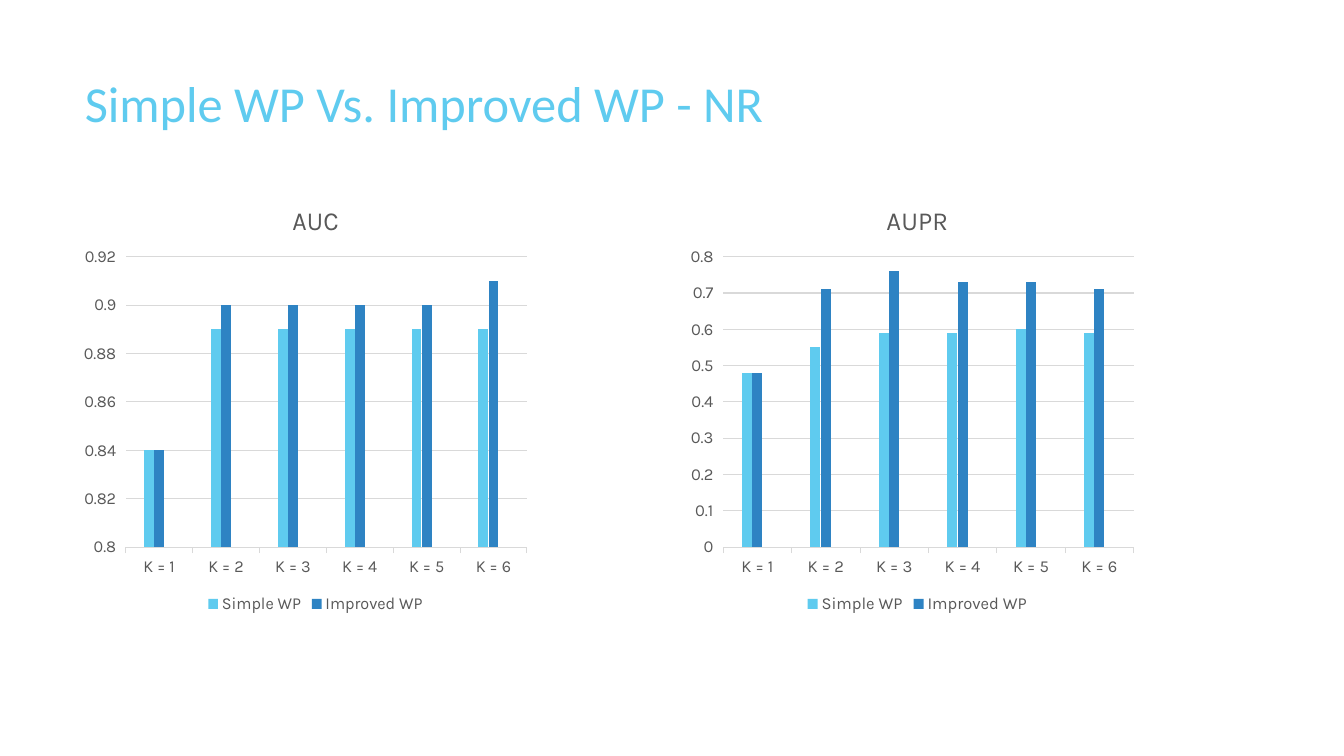
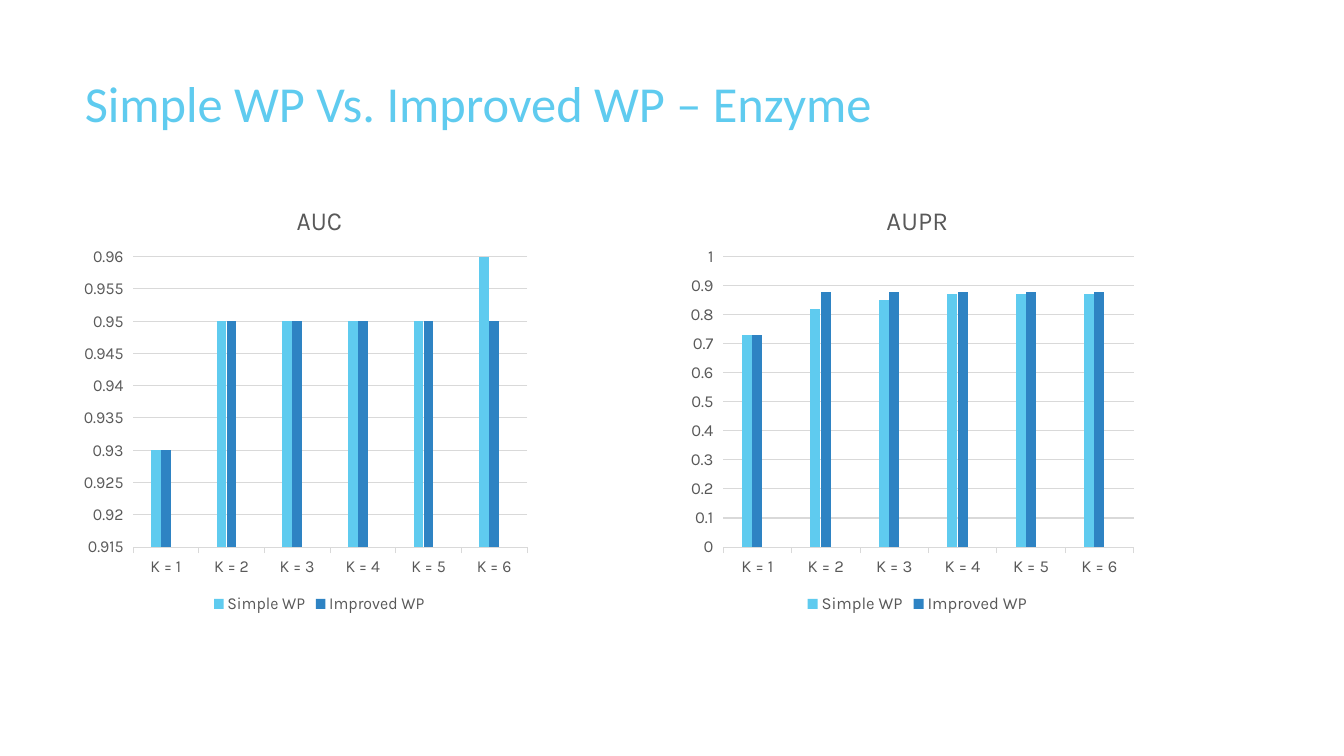
from pptx import Presentation
from pptx.chart.data import CategoryChartData
from pptx.dml.color import RGBColor
from pptx.enum.chart import XL_CHART_TYPE as ChartType
from pptx.enum.chart import XL_LEGEND_POSITION as LegendPosition
from pptx.enum.chart import XL_TICK_MARK as TickMark
from pptx.enum.text import MSO_ANCHOR as Anchor
from pptx.oxml import parse_xml
from pptx.oxml.ns import nsdecls
from pptx.util import Pt

BLACK = RGBColor(0x00, 0x00, 0x00)
SKY = RGBColor(0x5F, 0xCB, 0xEF)
BLUE = RGBColor(0x2E, 0x83, 0xC3)
GREEN = RGBColor(0x42, 0xD0, 0xA2)
TEXT_GRAY = RGBColor(0x59, 0x59, 0x59)
LINE_GRAY = RGBColor(0xD9, 0xD9, 0xD9)
TITLE_FONT = "Calibri"
CHART_FONT = "Karla"

CATEGORIES = [f"K = {k}" for k in range(1, 7)]
SERIES = [("Simple WP", SKY), ("Improved WP", BLUE), ("Series 3", GREEN)]
SPACER_INDEX = 2
NO_VALUES = [None] * len(CATEGORIES)
CHART_LEFTS = (59.8, 493.2)
PLOT_LAYOUT = {"x": 0.06, "y": 1 / 6, "w": 0.93, "h": 0.67}

SLIDES = [
    ("Simple WP Vs. Improved WP - NR", [
        ("AUC", (0.8, 0.92, 0.02),
         [0.84, 0.89, 0.89, 0.89, 0.89, 0.89],
         [0.84, 0.9, 0.9, 0.9, 0.9, 0.91]),
        ("AUPR", (0, 0.8, 0.1),
         [0.48, 0.55, 0.59, 0.59, 0.6, 0.59],
         [0.48, 0.71, 0.76, 0.73, 0.73, 0.71]),
    ]),
    ("Simple WP Vs. Improved WP – Enzyme", [
        ("AUC", (0.915, 0.96, 0.005),
         [0.93, 0.95, 0.95, 0.95, 0.95, 0.96],
         [0.93, 0.95, 0.95, 0.95, 0.95, 0.95]),
        ("AUPR", (0, 1, 0.1),
         [0.73, 0.82, 0.85, 0.87, 0.87, 0.87],
         [0.73, 0.88, 0.88, 0.88, 0.88, 0.88]),
    ]),
]


def style_font(font, name, size, color):
    font.name = name
    font.size = Pt(size)
    font.bold = False
    font.color.rgb = color


def add_title(slide, text):
    box = slide.shapes.add_textbox(Pt(53.5), Pt(48.2), Pt(676.8), Pt(103.7))
    frame = box.text_frame
    frame.word_wrap = True
    frame.vertical_anchor = Anchor.TOP
    frame.text = text
    style_font(frame.paragraphs[0].runs[0].font, TITLE_FONT, 36, SKY)


def style_axes(chart, scale):
    value_axis, category_axis = chart.value_axis, chart.category_axis
    value_axis.minimum_scale, value_axis.maximum_scale, value_axis.major_unit = scale
    for axis in (value_axis, category_axis):
        style_font(axis.tick_labels.font, CHART_FONT, 12, TEXT_GRAY)
        axis.major_tick_mark = TickMark.OUTSIDE
    value_axis.tick_labels.number_format = "General"
    value_axis.tick_labels.number_format_is_linked = False
    value_axis.format.line.fill.background()
    for line in (value_axis.major_gridlines.format.line, category_axis.format.line):
        line.color.rgb = LINE_GRAY
        line.width = Pt(0.75)


def add_legend(chart):
    chart.has_legend = True
    chart.legend.position = LegendPosition.BOTTOM
    chart.legend.include_in_layout = False
    style_font(chart.legend.font, CHART_FONT, 12, TEXT_GRAY)
    position = chart.element.xpath(".//c:legendPos")[0]
    position.addnext(parse_xml(
        f'<c:legendEntry {nsdecls("c")}><c:idx val="{SPACER_INDEX}"/>'
        '<c:delete val="1"/></c:legendEntry>'))


def set_plot_layout(chart):
    plot_area = chart.element.xpath(".//c:plotArea")[0]
    for layout in plot_area.xpath("./c:layout"):
        plot_area.remove(layout)
    modes = "".join(f'<c:{axis}Mode val="edge"/>' for axis in "xy")
    sizes = "".join(f'<c:{key} val="{value}"/>' for key, value in PLOT_LAYOUT.items())
    plot_area.insert(0, parse_xml(
        f'<c:layout {nsdecls("c")}><c:manualLayout><c:layoutTarget val="inner"/>'
        f'{modes}{sizes}</c:manualLayout></c:layout>'))


def add_column_chart(slide, left, title, scale, simple, improved):
    data = CategoryChartData()
    data.categories = CATEGORIES
    for (name, _), values in zip(SERIES, (simple, improved, NO_VALUES)):
        data.add_series(name, values)
    chart = slide.shapes.add_chart(
        ChartType.COLUMN_CLUSTERED, Pt(left), Pt(131.8), Pt(319.7), Pt(309.6), data).chart
    style_font(chart.font, CHART_FONT, 10, BLACK)

    chart.has_title = True
    frame = chart.chart_title.text_frame
    frame.text = title
    style_font(frame.paragraphs[0].runs[0].font, CHART_FONT, 18.6, TEXT_GRAY)
    chart.chart_title.include_in_layout = False

    plot = chart.plots[0]
    plot.vary_by_categories = False
    plot.gap_width = 372
    plot.overlap = -3
    for series, (_, color) in zip(plot.series, SERIES):
        series.format.fill.solid()
        series.format.fill.fore_color.rgb = color

    style_axes(chart, scale)
    add_legend(chart)
    set_plot_layout(chart)


def main():
    presentation = Presentation()
    presentation.slide_width = Pt(960)
    presentation.slide_height = Pt(540)
    for title, charts in SLIDES:
        slide = presentation.slides.add_slide(presentation.slide_layouts[6])
        add_title(slide, title)
        for left, chart in zip(CHART_LEFTS, charts):
            add_column_chart(slide, left, *chart)
    presentation.save("out.pptx")


if __name__ == "__main__":
    main()
